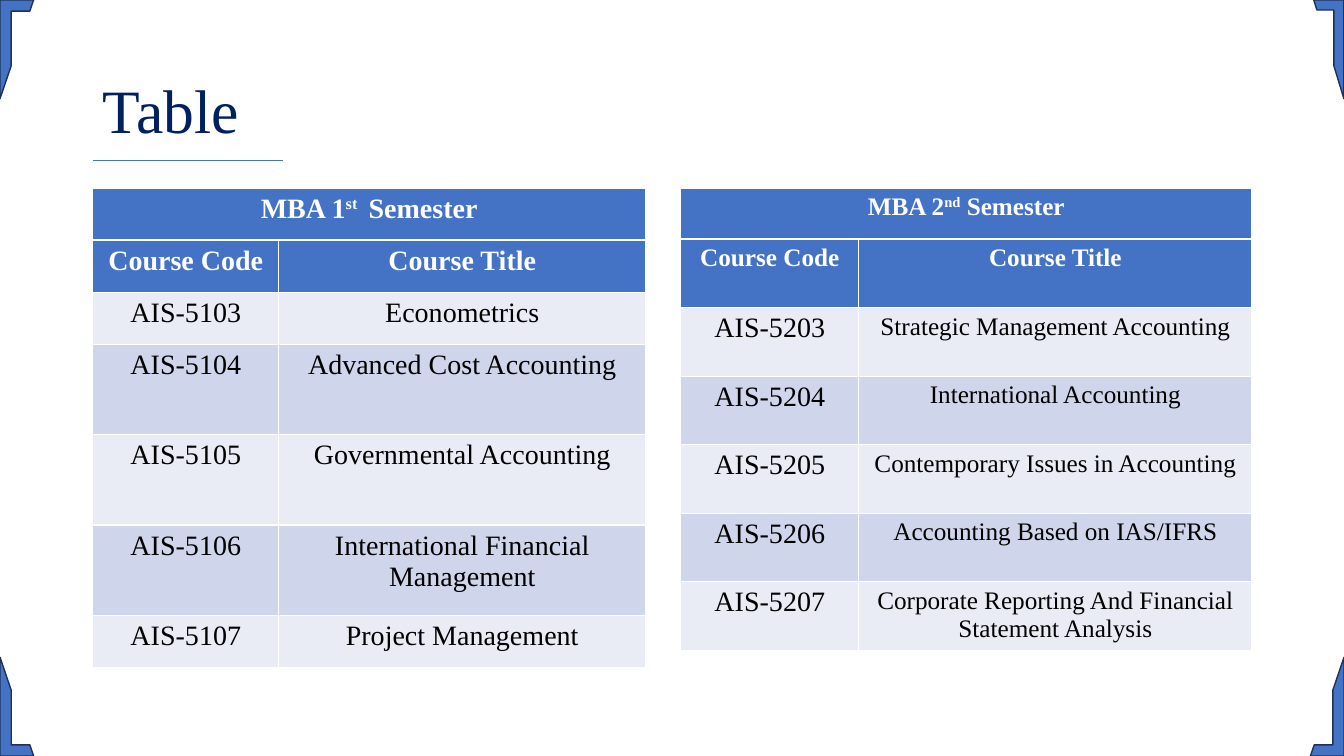
"""Build a slide that lists the MBA courses of two semesters side by side."""
from dataclasses import dataclass

from lxml import etree
from pptx import Presentation
from pptx.dml.color import RGBColor
from pptx.enum.shapes import MSO_CONNECTOR, MSO_SHAPE
from pptx.enum.text import MSO_ANCHOR, MSO_AUTO_SIZE, PP_ALIGN
from pptx.oxml.ns import qn
from pptx.util import Pt

HALF_FRAME = MSO_SHAPE.HALF_FRAME
STRAIGHT = MSO_CONNECTOR.STRAIGHT
MIDDLE = MSO_ANCHOR.MIDDLE
NO_AUTOFIT = MSO_AUTO_SIZE.NONE
LEFT, CENTER = PP_ALIGN.LEFT, PP_ALIGN.CENTER

COLORS = {
    "accent": "4472C4",
    "outline": "1E3256",
    "title": "002060",
    "header": "FFFFFF",
    "body": "000000",
    "odd": "E9EBF5",
    "even": "CFD5EA",
}
FONT = "Times New Roman"
SLIDE_W, SLIDE_H = 960, 540
MARGIN_X = 66.25
TABLE_TOP = 134.25
HEADINGS = ("Course Code", "Course Title")


@dataclass(frozen=True)
class Corner:
    left: float
    top: float
    width: float
    rotation: int = 0
    flipped: bool = False
    height: float = 70.5


@dataclass(frozen=True)
class Semester:
    left: float
    columns: tuple[float, float]
    rows: tuple[float, ...]
    ordinal: tuple[str, str, str]
    header_size: int
    title_size: int
    courses: tuple[tuple[str, str], ...]
    code_size: int = 20


BOTTOM = SLIDE_H - 70.5
CORNERS = (
    Corner(0, 0, 24),
    Corner(SLIDE_W - 24, BOTTOM, 24, rotation=180),
    Corner(SLIDE_W - 21.5, 0, 21.5, flipped=True),
    Corner(0, BOTTOM, 24, rotation=180, flipped=True),
)
SECOND = Semester(
    486.25, (127.25, 280.75), (36.5,) + (49,) * 6,
    ("MBA 2", "nd", " Semester"), 18, 18,
    (
        ("AIS-5203", "Strategic Management Accounting"),
        ("AIS-5204", "International Accounting"),
        ("AIS-5205", "Contemporary Issues in Accounting"),
        ("AIS-5206", "Accounting Based on IAS/IFRS"),
        ("AIS-5207", "Corporate Reporting And Financial Statement Analysis"),
    ),
)
FIRST = Semester(
    MARGIN_X, (133, 262), (37.25,) * 3 + (64.5,) * 3 + (37.25,),
    ("MBA 1", "st ", " Semester"), 20, 20,
    (
        ("AIS-5103", "Econometrics"),
        ("AIS-5104", "Advanced Cost Accounting"),
        ("AIS-5105", "Governmental Accounting"),
        ("AIS-5106", "International Financial Management"),
        ("AIS-5107", "Project Management"),
    ),
)


def rgb(name: str) -> RGBColor:
    """Return the named palette colour."""
    return RGBColor.from_string(COLORS[name])


def add_run(paragraph, text: str, size: int, color: str, bold: bool = False):
    """Append a formatted run to a paragraph."""
    run = paragraph.add_run()
    run.text = text
    for attribute, value in {"name": FONT, "size": Pt(size), "bold": bold}.items():
        setattr(run.font, attribute, value)
    run.font.color.rgb = rgb(color)
    return run


def add_corner(slide, corner: Corner) -> None:
    """Draw one half frame in a corner of the slide."""
    bounds = (corner.left, corner.top, corner.width, corner.height)
    frame = slide.shapes.add_shape(HALF_FRAME, *map(Pt, bounds))
    frame.shadow.inherit = False
    frame.rotation = corner.rotation
    if corner.flipped:
        frame.element.spPr.get_or_add_xfrm().set("flipH", "1")
    frame.fill.solid()
    frame.fill.fore_color.rgb = rgb("accent")
    frame.line.color.rgb = rgb("outline")
    frame.line.width = Pt(1)


def add_title(slide, text: str) -> None:
    """Place and format the slide title."""
    title = slide.shapes.title
    bounds = {"left": MARGIN_X, "top": 28.75, "width": 828, "height": 104.5}
    for attribute, value in bounds.items():
        setattr(title, attribute, Pt(value))
    frame = title.text_frame
    layout = {"vertical_anchor": MIDDLE, "auto_size": NO_AUTOFIT, "word_wrap": True}
    for attribute, value in layout.items():
        setattr(frame, attribute, value)
    paragraph = frame.paragraphs[0]
    paragraph.alignment = LEFT
    paragraph.line_spacing = 0.9
    add_run(paragraph, text, 44, "title")


def add_underline(slide) -> None:
    """Draw the thin rule below the title."""
    ends = (MARGIN_X, 114.5, 202.5, 114.5)
    rule = slide.shapes.add_connector(STRAIGHT, *map(Pt, ends))
    rule.line.color.rgb = rgb("accent")
    rule.line.width = Pt(0.5)
    etree.SubElement(rule.element.spPr, qn("a:effectLst"))


def style_cell(cell, fill: str):
    """Fill a cell and return its centred paragraph."""
    cell.fill.solid()
    cell.fill.fore_color.rgb = rgb(fill)
    paragraph = cell.text_frame.paragraphs[0]
    paragraph.alignment = CENTER
    return paragraph


def add_semester(slide, semester: Semester) -> None:
    """Draw the course table of one semester."""
    bounds = (semester.left, TABLE_TOP, sum(semester.columns), sum(semester.rows))
    table = slide.shapes.add_table(
        len(semester.rows), len(semester.columns), *map(Pt, bounds)
    ).table
    for column, width in zip(table.columns, semester.columns):
        column.width = Pt(width)
    for row, height in zip(table.rows, semester.rows):
        row.height = Pt(height)

    table.cell(0, 0).merge(table.cell(0, 1))
    caption = style_cell(table.cell(0, 0), "accent")
    runs = [
        add_run(caption, part, semester.header_size, "header", True)
        for part in semester.ordinal
    ]
    runs[1].font._element.set("baseline", "30000")

    for column, heading in enumerate(HEADINGS):
        paragraph = style_cell(table.cell(1, column), "accent")
        add_run(paragraph, heading, semester.header_size, "header", True)

    sizes = (semester.code_size, semester.title_size)
    for index, course in enumerate(semester.courses):
        band = "even" if index % 2 else "odd"
        for column, (text, size) in enumerate(zip(course, sizes)):
            paragraph = style_cell(table.cell(index + 2, column), band)
            add_run(paragraph, text, size, "body")


def main() -> None:
    """Assemble and save the slide."""
    deck = Presentation()
    deck.slide_width, deck.slide_height = Pt(SLIDE_W), Pt(SLIDE_H)
    slide = deck.slides.add_slide(deck.slide_layouts[5])
    for corner in CORNERS:
        add_corner(slide, corner)
    add_title(slide, "Table")
    add_semester(slide, SECOND)
    add_underline(slide)
    add_semester(slide, FIRST)
    deck.save("out.pptx")


if __name__ == "__main__":
    main()
